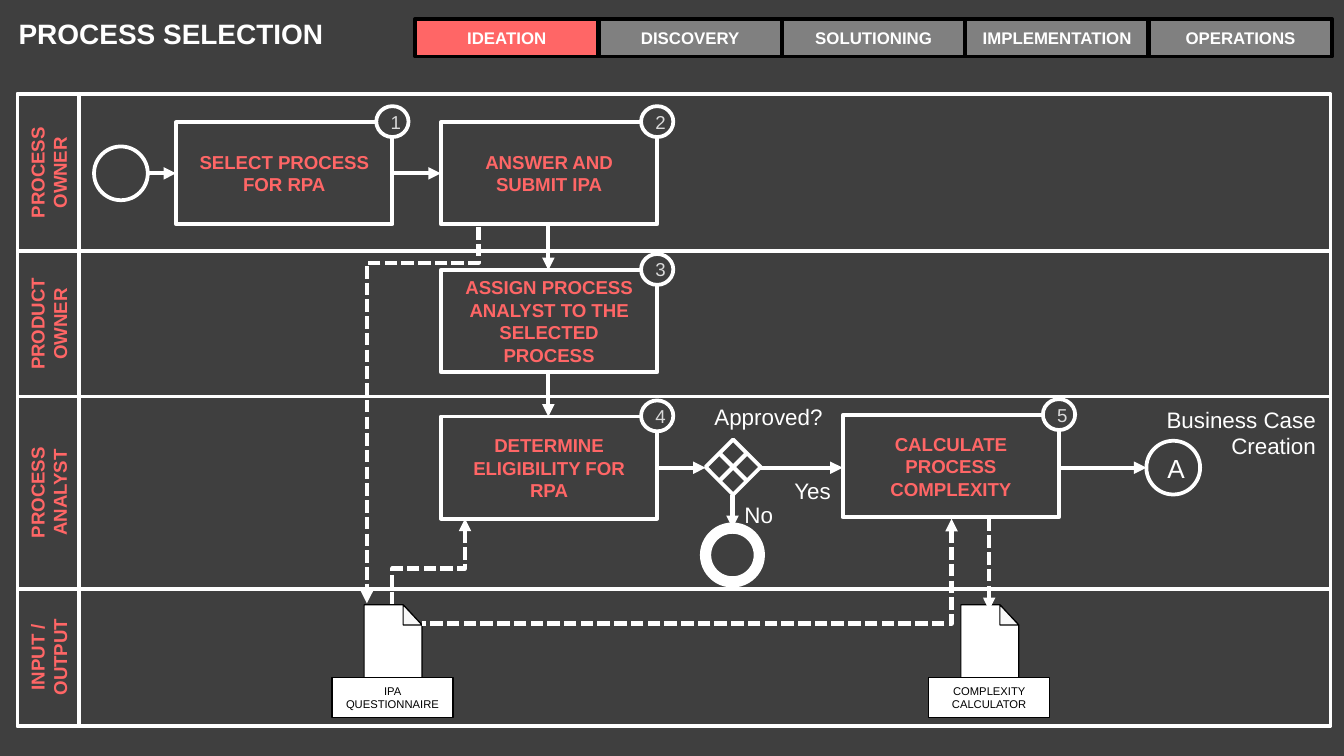
from pptx import Presentation
from pptx.dml.color import RGBColor
from pptx.enum.dml import MSO_LINE
from pptx.enum.shapes import MSO_CONNECTOR, MSO_SHAPE
from pptx.enum.text import MSO_ANCHOR, PP_ALIGN
from pptx.oxml.ns import qn
from pptx.util import Inches, Pt
from lxml import etree

RECT, OVAL = MSO_SHAPE.RECTANGLE, MSO_SHAPE.OVAL
DECISION = MSO_SHAPE.FLOWCHART_DECISION
STRAIGHT, ELBOW = MSO_CONNECTOR.STRAIGHT, MSO_CONNECTOR.ELBOW
DASH = MSO_LINE.SQUARE_DOT
MIDDLE, TOP = MSO_ANCHOR.MIDDLE, MSO_ANCHOR.TOP
CENTER, LEFT, RIGHT = PP_ALIGN.CENTER, PP_ALIGN.LEFT, PP_ALIGN.RIGHT
WHITE, BLACK, DARK, CORAL = "FFFFFF", "000000", "3F3F3F", "FF6666"
color = RGBColor.from_string

# Widescreen page, 16 to 9
deck = Presentation()
deck.slide_width, deck.slide_height = Inches(10), Inches(10 * 9 / 16)
page = deck.slides.add_slide(deck.slide_layouts[6])
page.background.fill.solid()
page.background.fill.fore_color.rgb = color(DARK)


def style(shape, fill=None, line=WHITE, weight=2, text="", size=10,
          ink=CORAL, bold=False, align=CENTER, anchor=MIDDLE):
    shape.shadow.inherit = False
    if fill:
        shape.fill.solid()
        shape.fill.fore_color.rgb = color(fill)
    else:
        shape.fill.background()
    if line:
        shape.line.color.rgb = color(line)
        shape.line.width = Pt(weight)
    if text:
        frame = shape.text_frame
        frame.word_wrap = True
        frame.vertical_anchor = anchor
        para = frame.paragraphs[0]
        para.alignment = align
        span = para.add_run()
        span.text = text
        span.font.name, span.font.size, span.font.bold = "Arial", Pt(size), bold
        span.font.color.rgb = color(ink)


def connect(kind, x1, y1, x2, y2, arrow="tailEnd", dashed=False):
    link = page.shapes.add_connector(kind, Inches(x1), Inches(y1), Inches(x2), Inches(y2))
    link.line.color.rgb = color(WHITE)
    link.line.width = Pt(2.25)
    if dashed:
        link.line.dash_style = DASH
    if arrow:
        etree.SubElement(link.line._get_or_add_ln(), qn("a:" + arrow), type="triangle")
    etree.SubElement(link._element.spPr, qn("a:effectLst"))
    return link


# Title
title = page.shapes.add_textbox(Inches(0.04), Inches(0.02), Inches(3.21), Inches(0.63))
style(title, line=None, text="PROCESS SELECTION", size=15, ink=WHITE, bold=True,
      align=LEFT, anchor=TOP)
title.text_frame.margin_top = title.text_frame.margin_bottom = Inches(0.1)

# Stage bar
stages = ["IDEATION", "DISCOVERY", "SOLUTIONING", "IMPLEMENTATION", "OPERATIONS"]
for index, stage in enumerate(stages):
    box = page.shapes.add_shape(RECT, Inches(3.09 + 1.365 * index), Inches(0.14),
                                Inches(1.36), Inches(0.28))
    style(box, CORAL if index == 0 else "808080", BLACK, text=stage, size=9,
          ink=WHITE, bold=True)

# Swimlanes, each with a label turned upright
LANE_LEFT, LANE_WIDTH, LABEL_WIDTH = 0.13, 9.77, 0.46
lanes = [("PROCESS OWNER", 0.7, 1.17), ("PRODUCT OWNER", 1.87, 1.08),
         ("PROCESS ANALYST", 2.95, 1.43), ("INPUT / OUTPUT", 4.38, 1.02)]
for name, top, height in lanes:
    lane = page.shapes.add_shape(RECT, Inches(LANE_LEFT), Inches(top),
                                 Inches(LANE_WIDTH), Inches(height))
    style(lane)
    label = page.shapes.add_shape(
        RECT, Inches(LANE_LEFT + (LABEL_WIDTH - height) / 2),
        Inches(top + (height - LABEL_WIDTH) / 2), Inches(height), Inches(LABEL_WIDTH))
    label.rotation = 270
    style(label, text=name, bold=True)

# Numbered tasks
tasks = [("SELECT PROCESS FOR RPA", 1.31, 0.91), ("ANSWER AND SUBMIT IPA", 3.28, 0.91),
         ("ASSIGN PROCESS ANALYST TO THE SELECTED PROCESS", 3.28, 2.01),
         ("DETERMINE ELIGIBILITY FOR RPA", 3.28, 3.1),
         ("CALCULATE PROCESS COMPLEXITY", 6.27, 3.09)]
for number, (name, left, top) in enumerate(tasks, 1):
    task = page.shapes.add_shape(RECT, Inches(left), Inches(top), Inches(1.61), Inches(0.76))
    style(task, text=name, bold=True)
    badge = page.shapes.add_shape(OVAL, Inches(left + 1.49), Inches(top - 0.12),
                                  Inches(0.24), Inches(0.23))
    style(badge, DARK, text=str(number), ink="D9D9D9")

# Documents with a folded corner
SHEET = [(0.29, 0), (0, 0), (0, 0.58), (0.43, 0.58), (0.43, 0.15)]
FOLD = [(0.29, 0.15), (0.43, 0.15), (0.29, 0)]
for name, left, top in [("IPA QUESTIONNAIRE", 2.71, 4.5), ("COMPLEXITY CALCULATOR", 7.15, 4.5)]:
    for outline, fill in [(SHEET, WHITE), (FOLD, "F8F8F8")]:
        points = [(Inches(left + x), Inches(top + y)) for x, y in outline]
        builder = page.shapes.build_freeform(*points[0])
        builder.add_line_segments(points[1:], close=True)
        style(builder.convert_to_shape(), fill, BLACK, 0.63)
    tag = page.shapes.add_shape(RECT, Inches(left - 0.24), Inches(top + 0.54),
                                Inches(0.9), Inches(0.3))
    style(tag, WHITE, BLACK, 0.75, name, 6, BLACK)

# Start, end and off-page events
for left, top, weight, letter in [(0.7, 1.09, 2, ""), (5.25, 3.93, 6, ""), (8.53, 3.28, 2, "A")]:
    event = page.shapes.add_shape(OVAL, Inches(left), Inches(top), Inches(0.4), Inches(0.4))
    style(event, weight=weight, text=letter, size=14, ink=WHITE)

# Approval gateway
gateway = page.shapes.add_shape(DECISION, Inches(5.25), Inches(3.27), Inches(0.41), Inches(0.41))
style(gateway)
connect(STRAIGHT, 5.35, 3.37, 5.56, 3.58, arrow=None)
connect(STRAIGHT, 5.56, 3.37, 5.35, 3.58, arrow=None)

# Straight flow
flows = [(1.11, 1.29, 1.31, 1.29), (2.92, 1.29, 3.28, 1.29), (4.08, 1.67, 4.08, 2.01),
         (4.08, 2.78, 4.08, 3.1), (4.89, 3.48, 5.25, 3.48), (5.45, 3.68, 5.45, 3.93),
         (5.65, 3.48, 6.27, 3.48), (7.89, 3.48, 8.53, 3.48)]
for ends in flows:
    connect(STRAIGHT, *ends)
connect(STRAIGHT, 7.36, 3.86, 7.36, 4.54, dashed=True)

# Dashed elbows that leave downwards and end lower left: a quarter turn about the centre
elbows = [(3.56, 1.69, 2.73, 4.49, "tailEnd", 0.095),
          (3.46, 3.86, 2.92, 4.6, "headEnd", 0.5),
          (7.08, 3.86, 3.14, 4.64, "headEnd", None)]
for x1, y1, x2, y2, arrow, bend in elbows:
    mid_x, mid_y = (x1 + x2) / 2, (y1 + y2) / 2
    half_run, half_rise = (y2 - y1) / 2, (x1 - x2) / 2
    elbow = connect(ELBOW, mid_x - half_run, mid_y - half_rise,
                    mid_x + half_run, mid_y + half_rise, arrow, dashed=True)
    properties = elbow._element.spPr
    properties.find(qn("a:xfrm")).set("rot", str(90 * 60000))
    geometry = properties.find(qn("a:prstGeom"))
    if bend is None:
        geometry.set("prst", "bentConnector2")
    else:
        etree.SubElement(geometry.find(qn("a:avLst")), qn("a:gd"),
                         name="adj1", fmla=f"val {round(bend * 100000)}")

# Captions
captions = [("Business Case Creation", 8.33, 2.97, 1.56, 0.5, True),
            ("Approved?", 5.18, 2.95, 1.04, 0.3, True),
            ("No", 5.43, 3.68, 0.42, 0.3, False), ("Yes", 5.79, 3.5, 0.49, 0.3, False)]
for text, left, top, width, height, wrap in captions:
    box = page.shapes.add_textbox(Inches(left), Inches(top), Inches(width), Inches(height))
    style(box, line=None, text=text, size=12, ink=WHITE, align=RIGHT, anchor=TOP)
    box.text_frame.word_wrap = wrap

deck.save("out.pptx")
